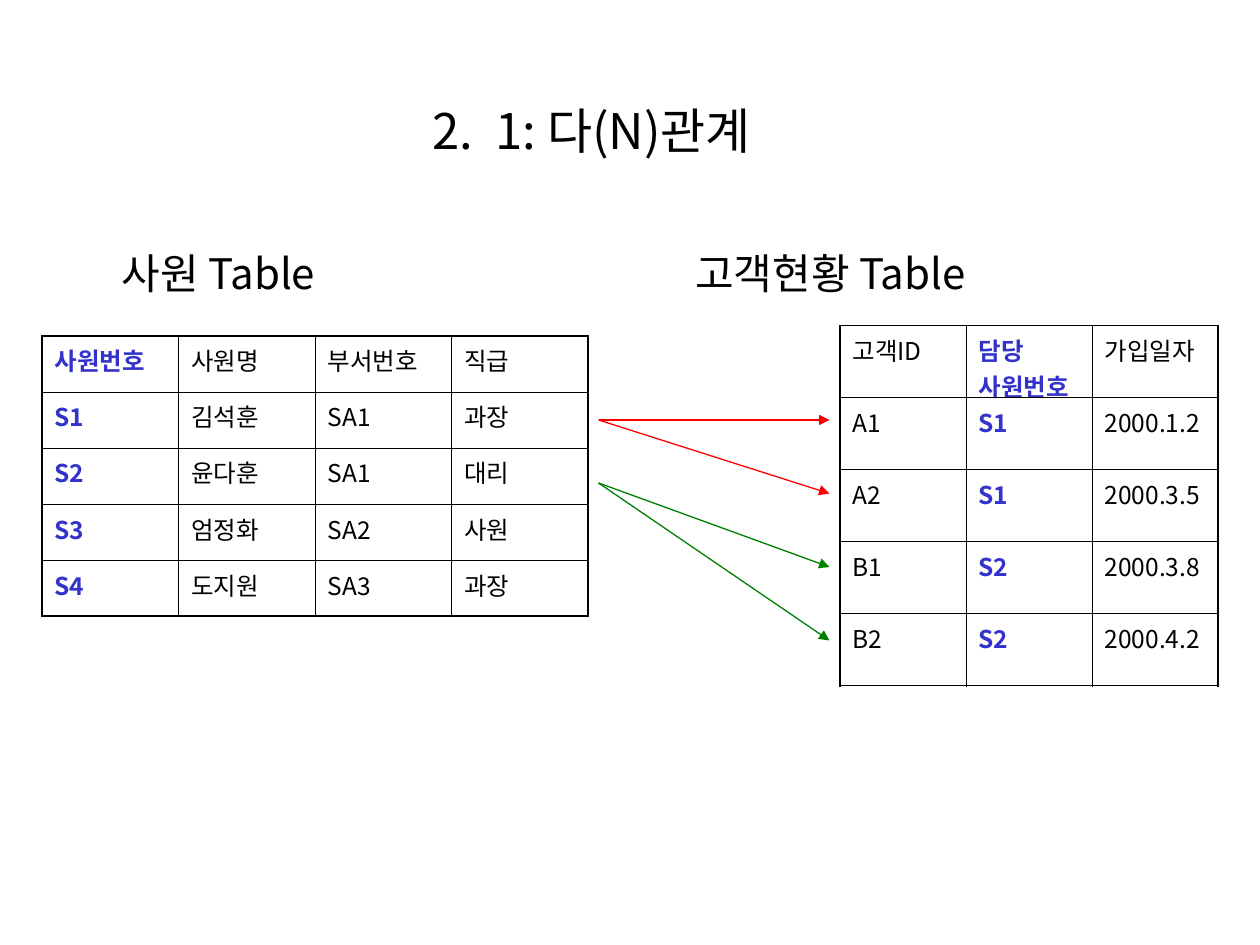
from pptx import Presentation
from pptx.dml.color import RGBColor
from pptx.enum.shapes import MSO_CONNECTOR
from pptx.enum.text import MSO_AUTO_SIZE
from pptx.oxml.ns import qn
from pptx.util import Inches, Pt
from lxml.etree import SubElement

FONT = "Noto Sans CJK KR"
BLACK = RGBColor(0x00, 0x00, 0x00)
KEY_BLUE = RGBColor(0x33, 0x33, 0xCC)
RED = RGBColor(0xFF, 0x00, 0x00)
GREEN = RGBColor(0x00, 0x80, 0x00)
OUTER_LINE, INNER_LINE = Pt(1.08), Pt(0.45)

# The slide is a grid of 120 columns by 90 rows, twelve to the inch
COLUMNS, ROWS = 120, 90

EMPLOYEES = [
    ["사원번호", "사원명", "부서번호", "직급"],
    ["S1", "김석훈", "SA1", "과장"],
    ["S2", "윤다훈", "SA1", "대리"],
    ["S3", "엄정화", "SA2", "사원"],
    ["S4", "도지원", "SA3", "과장"],
]
CUSTOMERS = [
    ["고객ID", "담당\v사원번호", "가입일자"],
    ["A1", "S1", "2000.1.2"],
    ["A2", "S1", "2000.3.5"],
    ["B1", "S2", "2000.3.8"],
    ["B2", "S2", "2000.4.2"],
]


def grid(*units):
    return [Inches(unit / 12) for unit in units]


def write_text(text_frame, text, size=14, color=BLACK, bold=False, tabs=()):
    """Fill a frame with one paragraph; tabs are in inches from the text edge."""
    paragraph = text_frame.paragraphs[0]
    paragraph.text = text
    if tabs:
        tab_list = SubElement(paragraph._p.get_or_add_pPr(), qn("a:tabLst"))
        for position in tabs:
            SubElement(tab_list, qn("a:tab"), pos=str(Inches(position)), algn="l")
    for line_break in paragraph._p.findall(qn("a:br")):
        SubElement(line_break, qn("a:rPr"), sz=str(size * 100))
    for run in paragraph.runs:
        run.font.size = Pt(size)
        run.font.bold = bold
        run.font.name = FONT
        run.font.color.rgb = color
        SubElement(run._r.get_or_add_rPr(), qn("a:ea"), typeface=FONT)


def add_heading(slide, box, text, size, tabs):
    text_frame = slide.shapes.add_textbox(*grid(*box)).text_frame
    text_frame.word_wrap = True
    text_frame.auto_size = MSO_AUTO_SIZE.SHAPE_TO_FIT_TEXT
    write_text(text_frame, text, size=size, tabs=tabs)


def set_border(cell, side, width):
    line = SubElement(cell._tc.get_or_add_tcPr(), qn(f"a:{side}"), w=str(width))
    fill = SubElement(line, qn("a:solidFill"))
    SubElement(fill, qn("a:srgbClr"), val=str(BLACK))


def add_data_table(slide, box, records, key_column):
    """Draw a ruled table whose key column is bold blue."""
    row_count, column_count = len(records), len(records[0])
    frame = slide.shapes.add_table(row_count, column_count, *grid(*box))
    table = frame.table
    table.first_row = table.horz_banding = False
    for row, record in enumerate(records):
        for column, text in enumerate(record):
            cell = table.cell(row, column)
            is_key = column == key_column
            write_text(cell.text_frame, text, bold=is_key,
                       color=KEY_BLUE if is_key else BLACK)
            edges = {
                "lnL": column == 0,
                "lnR": column == column_count - 1,
                "lnT": row == 0,
                "lnB": row == row_count - 1,
            }
            for side, is_outer in edges.items():
                set_border(cell, side, OUTER_LINE if is_outer else INNER_LINE)
            cell.fill.background()


def add_arrows(slide, left, right, start, ends, color):
    """Fan arrows out from one employee to the customers in charge."""
    for end in ends:
        arrow = slide.shapes.add_connector(
            MSO_CONNECTOR.STRAIGHT, *grid(left, start, right, end))
        arrow.line.color.rgb = color
        arrow.line.width = Pt(0.75)
        SubElement(arrow.line._get_or_add_ln(), qn("a:tailEnd"), type="triangle")
        SubElement(arrow._element.spPr, qn("a:effectLst"))


def build_slide(presentation):
    slide = presentation.slides.add_slide(presentation.slide_layouts[6])
    # Title
    add_heading(slide, (40, 9, 40, 6.8), "2.\t1: 다(N)관계", 28, tabs=[0.5])
    # Tables
    add_data_table(slide, (80, 31, 36, 34.3), CUSTOMERS, key_column=1)
    add_data_table(slide, (4, 32, 52, 26.7), EMPLOYEES, key_column=0)
    # Relations from employees to customers
    add_arrows(slide, 57, 79, 40, [40, 47], RED)
    add_arrows(slide, 57, 79, 46, [54, 61], GREEN)
    # Table names
    add_heading(slide, (6, 23, 108, 6), "\t사원 Table\t고객현황 Table", 24,
                tabs=[0.37, 4.92])


def main():
    presentation = Presentation()
    presentation.slide_width, presentation.slide_height = grid(COLUMNS, ROWS)
    build_slide(presentation)
    presentation.save("out.pptx")


if __name__ == "__main__":
    main()
